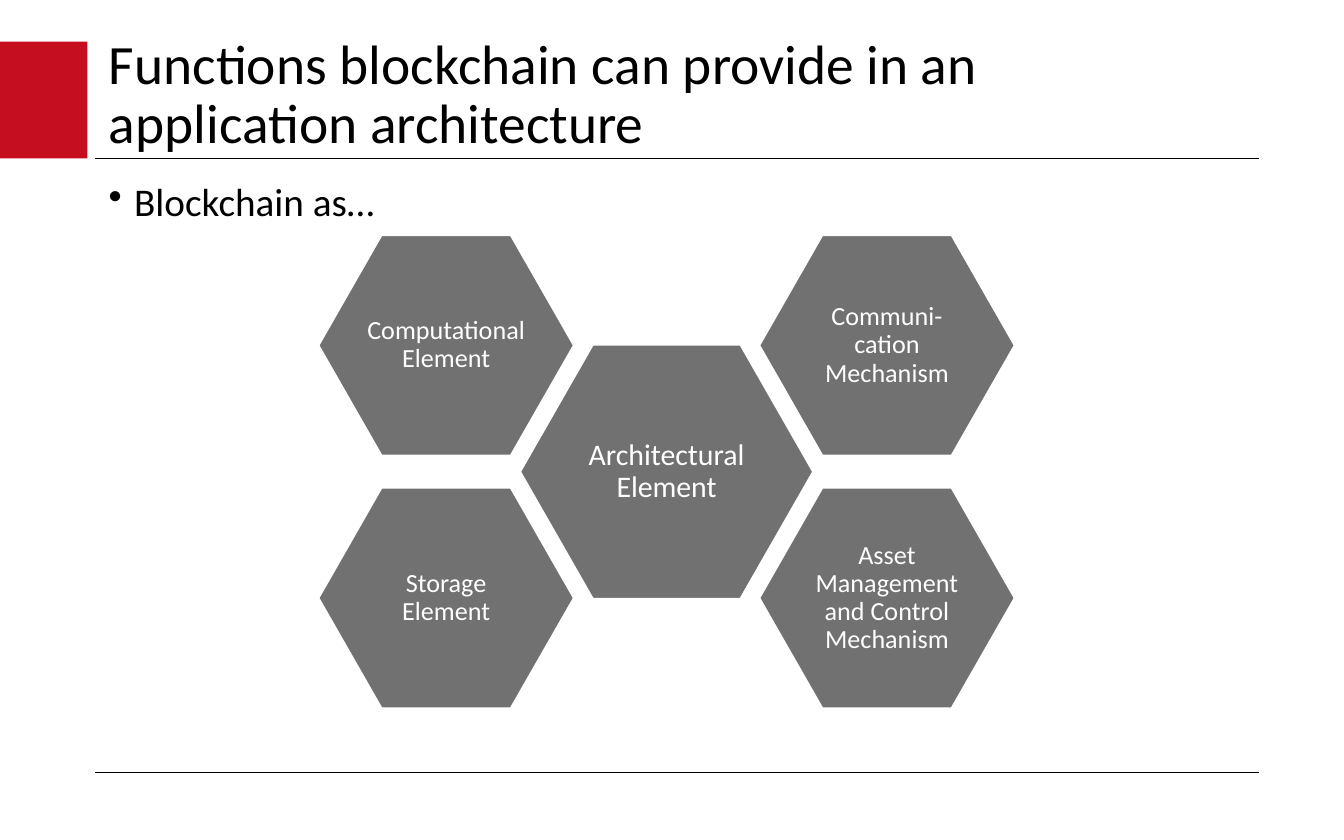
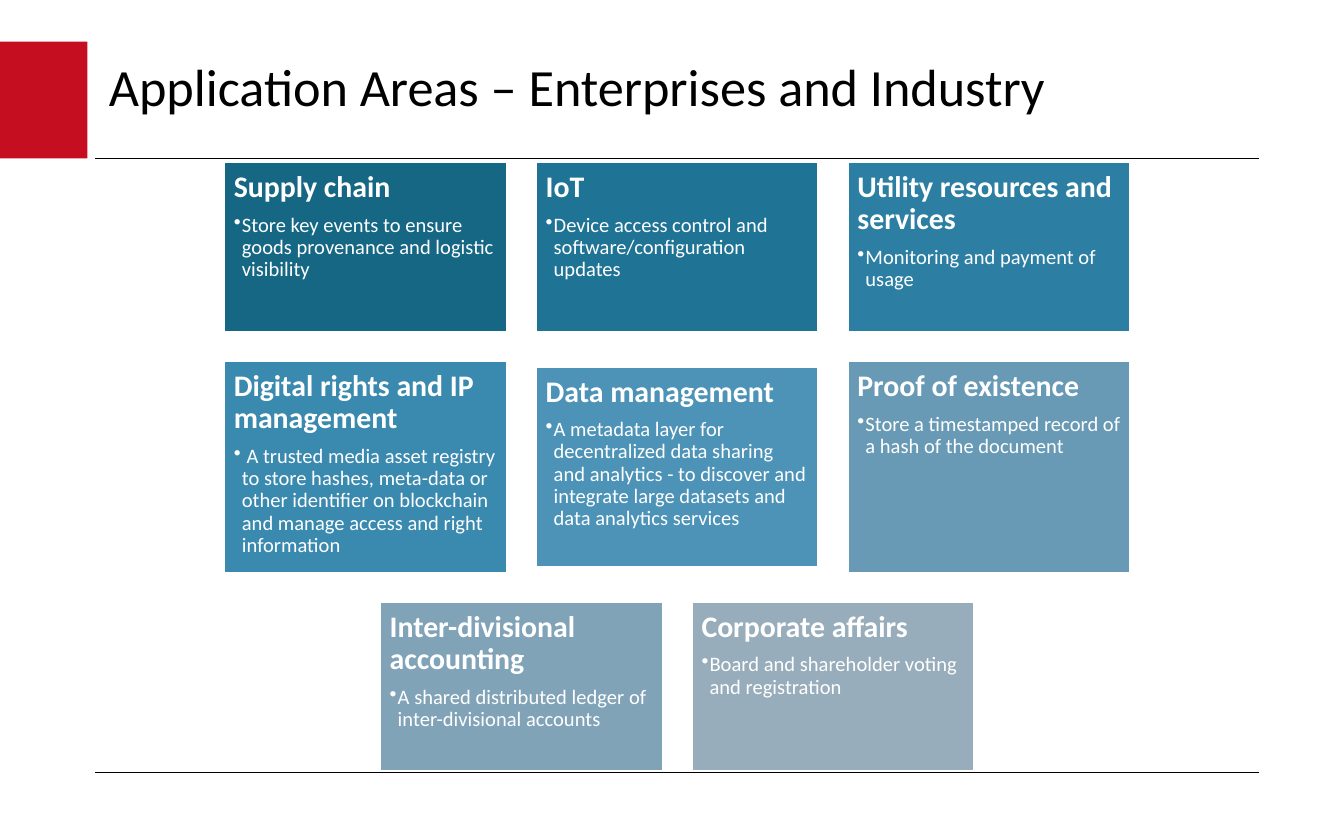
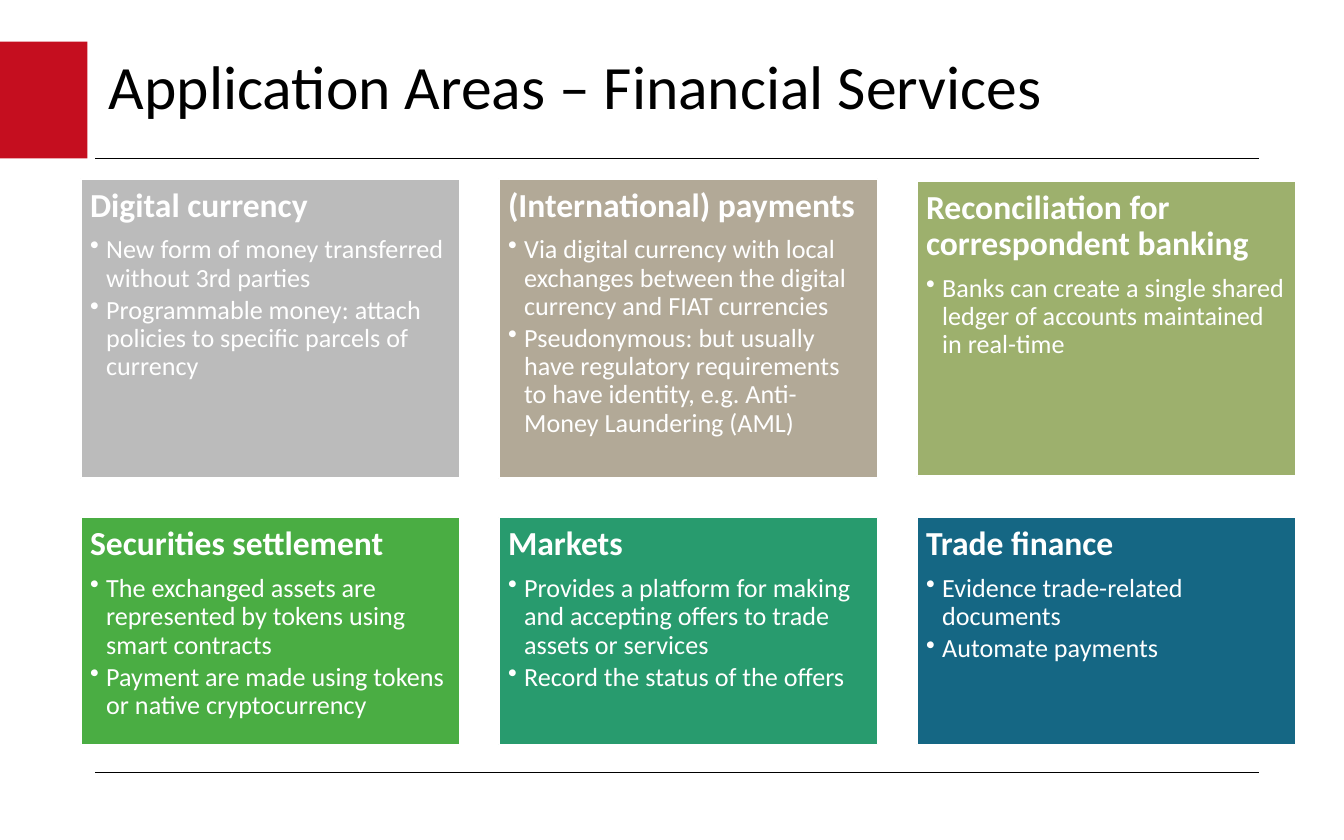
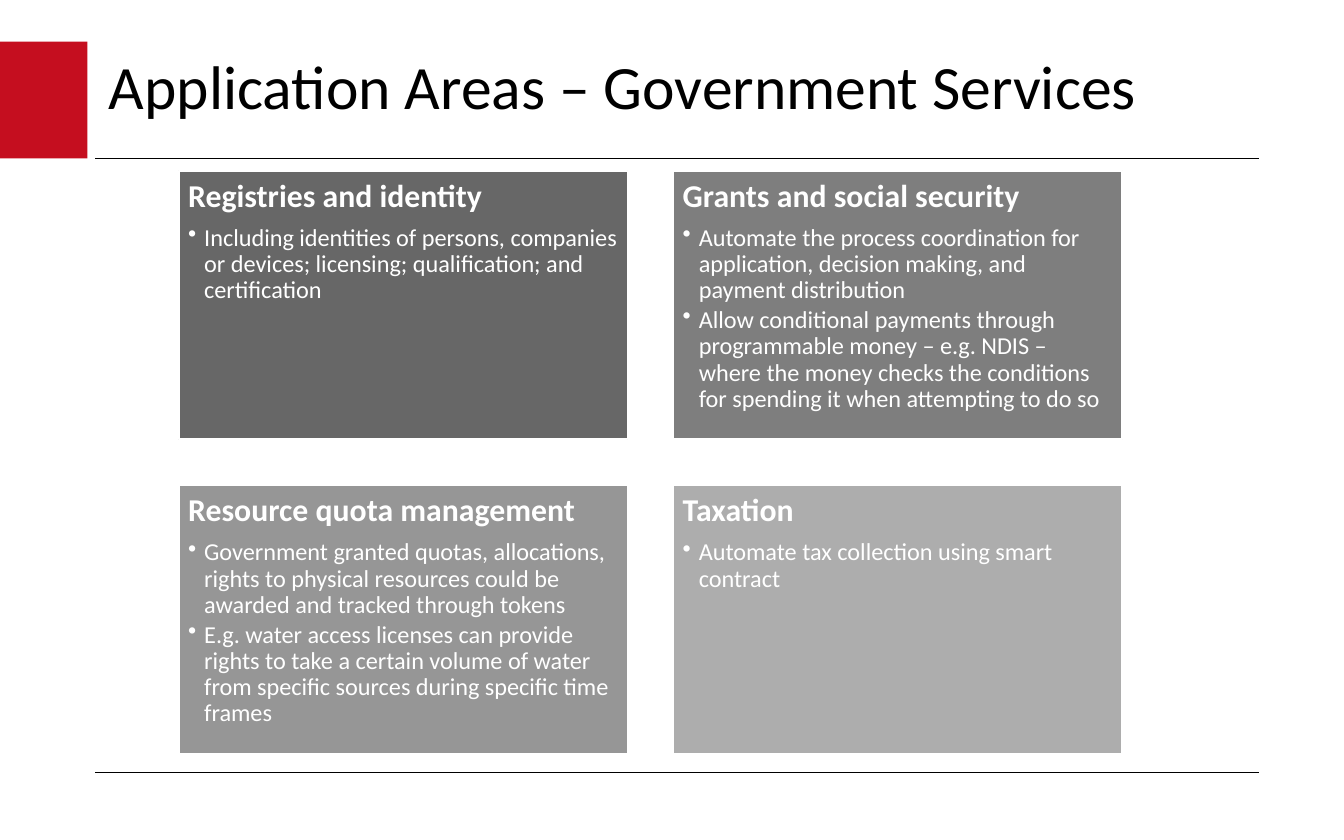
import dataclasses

import lxml.etree
import pptx
import pptx.dml.color
import pptx.enum.shapes
import pptx.enum.text
import pptx.oxml.ns
import pptx.util

Inches = pptx.util.Inches
Pt = pptx.util.Pt
SHAPE = pptx.enum.shapes.MSO_SHAPE
ALIGN = pptx.enum.text.PP_ALIGN
ANCHOR = pptx.enum.text.MSO_ANCHOR


@dataclasses.dataclass(frozen=True)
class Theme:
    font: str = "Calibri"
    ink: str = "000000"
    paper: str = "FFFFFF"
    band: str = "C50E1F"
    hexagon: str = "717171"
    blues: tuple = ("156784", "1F7394", "2C7FA2", "3A89AF",
                    "4C93B7", "689AB6", "81A3B8", "98ADBB")
    mixed: tuple = ("BBBBBB", "B2A997", "9DB06D", "4AAD43", "289B6E", "156784")
    greys: tuple = ("676767", "7E7E7E", "969696", "ADADAD")
    lead: float = 21
    hub: float = 16
    spoke: float = 14
    spacing: float = 0.9


@dataclasses.dataclass(frozen=True)
class Grid:
    """Rows of cards, each row centred on mid, with one gap both ways."""
    mid: float
    top: float
    width: float
    gap: float
    head: float
    body: float
    indent: float
    colors: tuple


@dataclasses.dataclass(frozen=True)
class Card:
    head: str
    points: tuple
    height: float


THEME = Theme()
WIDTH, HEIGHT = 10, 6.25
LEFT, RIGHT = 0.71, 9.37
TOP, RULE, FOOT = 0.31, 1.18, 5.75

ENTERPRISE = (
    (Card("Supply chain", ("Store key events to ensure goods provenance and logistic visibility",), 1.26),
     Card("IoT", ("Device access control and software/configuration updates",), 1.26),
     Card("Utility resources and services", ("Monitoring and payment of usage",), 1.26)),
    (Card("Digital rights and IP management",
          (" A trusted media asset registry to store hashes, meta-data or other identifier "
           "on blockchain and manage access and right information",), 1.57),
     Card("Data management",
          ("A metadata layer for decentralized data sharing and analytics - to discover and "
           "integrate large datasets and data analytics services",), 1.49),
     Card("Proof of existence", ("Store a timestamped record of a hash of the document",), 1.57)),
    (Card("Inter-divisional accounting", ("A shared distributed ledger of inter-divisional accounts",), 1.26),
     Card("Corporate affairs", ("Board and shareholder voting and registration",), 1.26)),
)

FINANCE = (
    (Card("Digital currency",
          ("New form of money transferred without 3rd parties",
           "Programmable money: attach policies to specific parcels of currency"), 2.23),
     Card("(International) payments",
          ("Via digital currency with local exchanges between the digital currency and FIAT currencies",
           "Pseudonymous: but usually have regulatory requirements to have identity, "
           "e.g. Anti-Money Laundering (AML)"), 2.23),
     Card("Reconciliation for correspondent banking",
          ("Banks can create a single shared ledger of accounts maintained in real-time",), 2.2)),
    (Card("Securities settlement",
          ("The exchanged assets are represented by tokens using smart contracts",
           "Payment are made using tokens or native cryptocurrency"), 1.69),
     Card("Markets",
          ("Provides a platform for making and accepting offers to trade assets or services",
           "Record the status of the offers"), 1.69),
     Card("Trade finance", ("Evidence trade-related documents", "Automate payments"), 1.69)),
)

GOVERNMENT = (
    (Card("Registries and identity",
          ("Including identities of persons, companies or devices; licensing; "
           "qualification; and certification",), 2),
     Card("Grants and social security",
          ("Automate the process coordination for application, decision making, and payment distribution",
           "Allow conditional payments through programmable money – e.g. NDIS – where the money "
           "checks the conditions for spending it when attempting to do so"), 2)),
    (Card("Resource quota management",
          ("Government granted quotas, allocations, rights to physical resources could be "
           "awarded and tracked through tokens",
           "E.g. water access licenses can provide rights to take a certain volume of water "
           "from specific sources during specific time frames"), 2),
     Card("Taxation", ("Automate tax collection using smart contract",), 2)),
)


def rgb(color):
    return pptx.dml.color.RGBColor.from_string(color)


def style(para, size, color, bold=False, align=ALIGN.LEFT, after=0):
    """Format a paragraph; after is a share of the type size."""
    para.alignment = align
    para.line_spacing = THEME.spacing
    para.space_before = Pt(0)
    para.space_after = Pt(round(size * after, 1))
    for run in para.runs:
        run.font.name = THEME.font
        run.font.size = Pt(size)
        run.font.bold = bold
        run.font.color.rgb = rgb(color)


def bullet(para, indent):
    props = para._p.get_or_add_pPr()
    props.set("marL", str(Inches(indent)))
    props.set("indent", str(-Inches(indent)))
    mark = lxml.etree.SubElement(props, pptx.oxml.ns.qn("a:buChar"))
    mark.set("char", "•")


def inset(frame, size):
    frame.word_wrap = True
    frame.margin_left = frame.margin_right = Inches(size)
    frame.margin_top = frame.margin_bottom = Inches(size)


def block(slide, kind, box, color, edge=True):
    shape = slide.shapes.add_shape(kind, *map(Inches, box))
    shape.shadow.inherit = False
    shape.fill.solid()
    shape.fill.fore_color.rgb = rgb(color)
    if edge:
        shape.line.color.rgb = rgb(THEME.paper)
        shape.line.width = Pt(1)
    else:
        shape.line.fill.background()
    return shape


def rule(slide, y):
    line = slide.shapes.add_connector(
        pptx.enum.shapes.MSO_CONNECTOR.STRAIGHT,
        Inches(LEFT), Inches(y), Inches(RIGHT), Inches(y))
    line.line.color.rgb = rgb(THEME.ink)
    line.line.width = Pt(0.75)
    lxml.etree.SubElement(line.element.spPr, pptx.oxml.ns.qn("a:effectLst"))
    return line


def frame_layout(layout, slide):
    """Draw the band and rules once and hand them to the shared layout."""
    for holder in list(layout.placeholders)[1:]:
        holder.element.getparent().remove(holder.element)
    band = block(slide, SHAPE.RECTANGLE, (0, TOP, 0.65, RULE - TOP), THEME.band, edge=False)
    for part in (band, rule(slide, RULE), rule(slide, FOOT)):
        layout.shapes.element.append(part.element)


def set_title(slide, text, size, width=RIGHT - LEFT, height=0.71):
    title = slide.shapes.title
    title.left, title.top = Inches(LEFT), Inches(TOP)
    title.width, title.height = Inches(width), Inches(height)
    frame = title.text_frame
    frame.text = text
    frame.word_wrap = True
    frame.auto_size = pptx.enum.text.MSO_AUTO_SIZE.NONE
    frame.vertical_anchor = ANCHOR.MIDDLE
    style(frame.paragraphs[0], size, THEME.ink)


def lead_in(slide, text):
    box = slide.shapes.add_textbox(
        Inches(LEFT), Inches(1.31), Inches(RIGHT - LEFT), Inches(0.42))
    box.text_frame.word_wrap = True
    para = box.text_frame.paragraphs[0]
    para.text = text
    bullet(para, 0.19)
    style(para, THEME.lead, THEME.ink)


def hexagon(slide, x, y, width, height, text, size):
    """Place a labelled hexagon around the centre x, y."""
    box = (x - width / 2, y - height / 2, width, height)
    shape = block(slide, SHAPE.HEXAGON, box, THEME.hexagon)
    shape.adjustments[0] = 0.286
    frame = shape.text_frame
    frame.text = text
    inset(frame, 0.02)
    frame.vertical_anchor = ANCHOR.MIDDLE
    style(frame.paragraphs[0], size, THEME.paper, align=ALIGN.CENTER)


def cluster(slide, hub, spokes):
    """Put the hub in the middle and one spoke at each corner."""
    x, y = 4.96, 3.51
    hexagon(slide, x, y, 2.18, 1.89, hub, THEME.hub)
    for (across, down), text in spokes.items():
        hexagon(slide, x + across * 1.64, y + down * 0.94, 1.9, 1.64, text, THEME.spoke)


def draw_card(slide, card, box, color, grid):
    frame = block(slide, SHAPE.RECTANGLE, box, color).text_frame
    inset(frame, 0.07)
    frame.vertical_anchor = ANCHOR.TOP
    frame.text = card.head
    style(frame.paragraphs[0], grid.head, THEME.paper, bold=True, after=0.35)
    for point in card.points:
        para = frame.add_paragraph()
        para.text = point
        bullet(para, grid.indent)
        style(para, grid.body, THEME.paper, after=0.15)


def draw_cards(slide, rows, grid):
    colors = iter(grid.colors)
    step = grid.width + grid.gap
    top = grid.top
    for row in rows:
        tall = max(card.height for card in row)
        left = grid.mid - (len(row) * step - grid.gap) / 2
        for col, card in enumerate(row):
            box = (left + col * step, top + (tall - card.height) / 2, grid.width, card.height)
            draw_card(slide, card, box, next(colors), grid)
        top += tall + grid.gap


def main():
    deck = pptx.Presentation()
    deck.slide_width, deck.slide_height = Inches(WIDTH), Inches(HEIGHT)
    layout = deck.slide_layouts[5]
    roles, firms, banks, state = [deck.slides.add_slide(layout) for _ in range(4)]
    frame_layout(layout, roles)

    set_title(roles, "Functions blockchain can provide in an application architecture",
              29.7, width=7.25, height=0.81)
    lead_in(roles, "Blockchain as…")
    cluster(roles, "Architectural Element", {
        (-1, -1): "Computational Element",
        (1, -1): "Communi-cation Mechanism",
        (-1, 1): "Storage Element",
        (1, 1): "Asset Management and Control Mechanism",
    })

    set_title(firms, "Application Areas – Enterprises and Industry", 28)
    draw_cards(firms, ENTERPRISE, Grid(5.04, 1.21, 2.1, 0.22, 16, 11, 0.06, THEME.blues))

    set_title(banks, "Application Areas – Financial Services", 33)
    draw_cards(banks, FINANCE, Grid(5.12, 1.33, 2.82, 0.29, 18, 14, 0.12, THEME.mixed))

    set_title(state, "Application Areas – Government Services", 33)
    draw_cards(state, GOVERNMENT, Grid(4.84, 1.27, 3.34, 0.34, 17, 13, 0.12, THEME.greys))

    deck.save("out.pptx")


if __name__ == "__main__":
    main()
